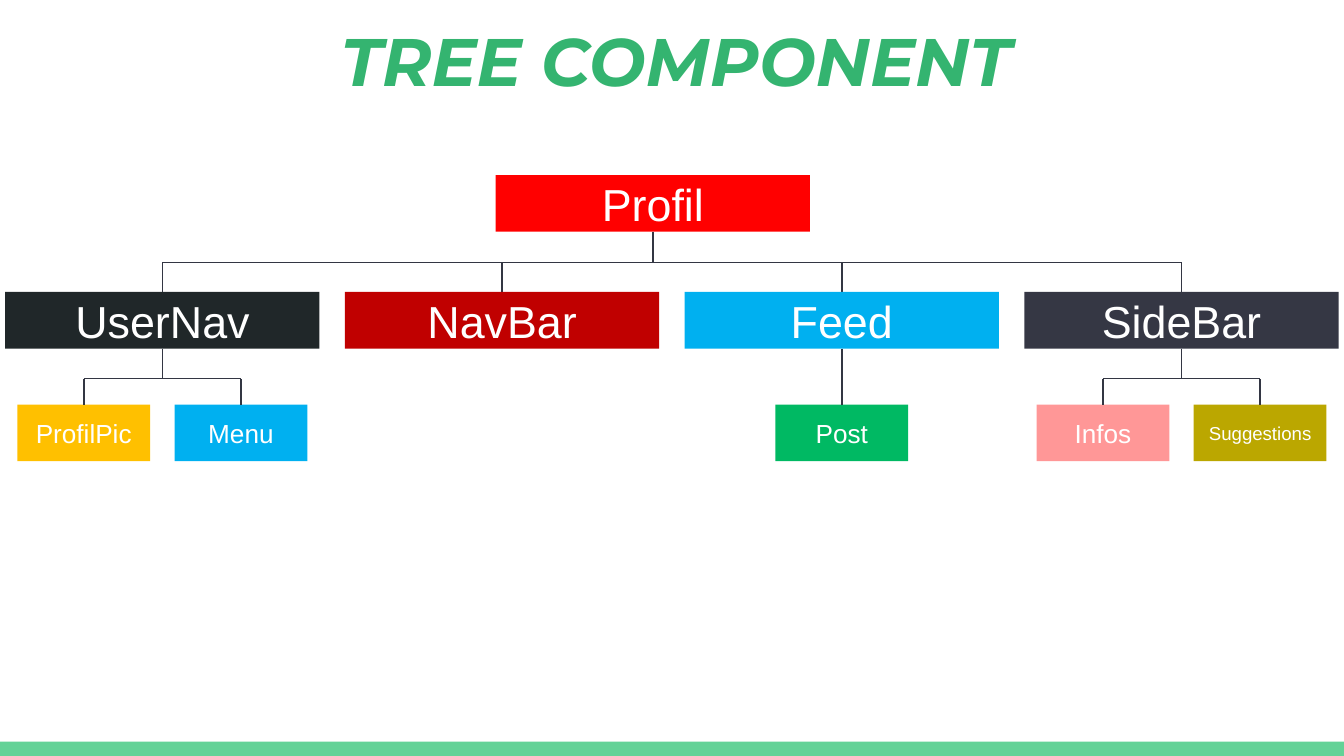
from lxml.etree import SubElement
from pptx import Presentation
from pptx.dml.color import RGBColor as Color
from pptx.enum.shapes import MSO_CONNECTOR as Connector, MSO_SHAPE as Shape
from pptx.enum.text import MSO_ANCHOR as Anchor, MSO_AUTO_SIZE as AutoSize, PP_ALIGN as Align
from pptx.oxml.ns import qn
from pptx.util import Cm, Pt

# Content: label, colour, children (label, colour, type size)
TITLE = "TREE COMPONENT"
ROOT = ("Profil", "FF0000")
BRANCHES = [
    ("UserNav", "202729", [("ProfilPic", "FFC000", "leaf"), ("Menu", "00B0F0", "leaf")]),
    ("NavBar", "C00000", []),
    ("Feed", "00B0F0", [("Post", "00B963", "leaf")]),
    ("SideBar", "353744", [("Infos", "FF9797", "leaf"), ("Suggestions", "BBA700", "small")]),
]

THEME = {
    "title": {"name": "Montserrat", "size": Pt(36), "bold": True, "italic": True},
    "node": {"name": "Arial", "size": Pt(24)},
    "leaf": {"name": "Arial", "size": Pt(14)},
    "small": {"name": "Arial", "size": Pt(10)},
    "title_color": "34B470",
    "node_color": "FFFFFF",
    "line_color": "333643",
    "footer_color": "63D297",
}

# Layout in centimetres
SLIDE_WIDTH, SLIDE_HEIGHT = 25.4, 14.29
FOOTER_HEIGHT = 0.27
NODE_WIDTH, LEAF_WIDTH, BOX_HEIGHT = 5.94, 2.51, 1.07
ROOT_CENTER, FIRST_CENTER = 12.34, 3.07
BRANCH_STEP, LEAF_STEP = 6.42, 2.97
ROOT_TOP, BRANCH_TOP, LEAF_TOP = 3.31, 5.52, 7.65
BRANCH_RAIL, LEAF_RAIL = 4.96, 7.16

presentation = Presentation()
presentation.slide_width, presentation.slide_height = Cm(SLIDE_WIDTH), Cm(SLIDE_HEIGHT)
slide = presentation.slides.add_slide(presentation.slide_layouts[6])


def write(frame, text, style, color):
    paragraph = frame.paragraphs[0]
    paragraph.alignment = Align.CENTER
    run = paragraph.add_run()
    run.text = text
    for attribute, value in THEME[style].items():
        setattr(run.font, attribute, value)
    run.font.color.rgb = Color.from_string(color)


def add_bar(left, top, width, height, color):
    shape = slide.shapes.add_shape(Shape.RECTANGLE, Cm(left), Cm(top), Cm(width), Cm(height))
    shape.shadow.inherit = False
    shape.fill.solid()
    shape.fill.fore_color.rgb = Color.from_string(color)
    shape.line.fill.background()
    return shape


def add_node(center, top, width, text, color, style):
    shape = add_bar(center - width / 2, top, width, BOX_HEIGHT, color)
    shape.text_frame.vertical_anchor = Anchor.MIDDLE
    shape.text_frame.word_wrap = True
    write(shape.text_frame, text, style, THEME["node_color"])


def add_line(x1, y1, x2, y2):
    line = slide.shapes.add_connector(Connector.STRAIGHT, Cm(x1), Cm(y1), Cm(x2), Cm(y2))
    line.line.color.rgb = Color.from_string(THEME["line_color"])
    line.line.width = Pt(0.75)
    SubElement(line._element.spPr, qn("a:effectLst"))


def connect(parent, bottom, rail, children, top):
    """Join a parent to its children: stem, rail and drops."""
    if children == [parent]:
        add_line(parent, bottom, parent, top)
    elif children:
        add_line(parent, bottom, parent, rail)
        add_line(children[0], rail, children[-1], rail)
        for child in children:
            add_line(child, rail, child, top)


# Footer band
add_bar(0, SLIDE_HEIGHT - FOOTER_HEIGHT, SLIDE_WIDTH, FOOTER_HEIGHT, THEME["footer_color"])

# Root and its links
branch_centers = [FIRST_CENTER + i * BRANCH_STEP for i in range(len(BRANCHES))]
add_node(ROOT_CENTER, ROOT_TOP, NODE_WIDTH, *ROOT, "node")
connect(ROOT_CENTER, ROOT_TOP + BOX_HEIGHT, BRANCH_RAIL, branch_centers, BRANCH_TOP)

# Branches, each with its leaves centred below
for center, (label, color, leaves) in zip(branch_centers, BRANCHES):
    add_node(center, BRANCH_TOP, NODE_WIDTH, label, color, "node")
    leaf_centers = [center + (i - (len(leaves) - 1) / 2) * LEAF_STEP for i in range(len(leaves))]
    for leaf_center, leaf in zip(leaf_centers, leaves):
        add_node(leaf_center, LEAF_TOP, LEAF_WIDTH, *leaf)
    connect(center, BRANCH_TOP + BOX_HEIGHT, LEAF_RAIL, leaf_centers, LEAF_TOP)

# Title
title = slide.shapes.add_textbox(Cm(4.34), Cm(0.25), Cm(16.87), Cm(1.8))
title.text_frame.word_wrap = True
title.text_frame.auto_size = AutoSize.SHAPE_TO_FIT_TEXT
write(title.text_frame, TITLE, "title", THEME["title_color"])

presentation.save("out.pptx")
